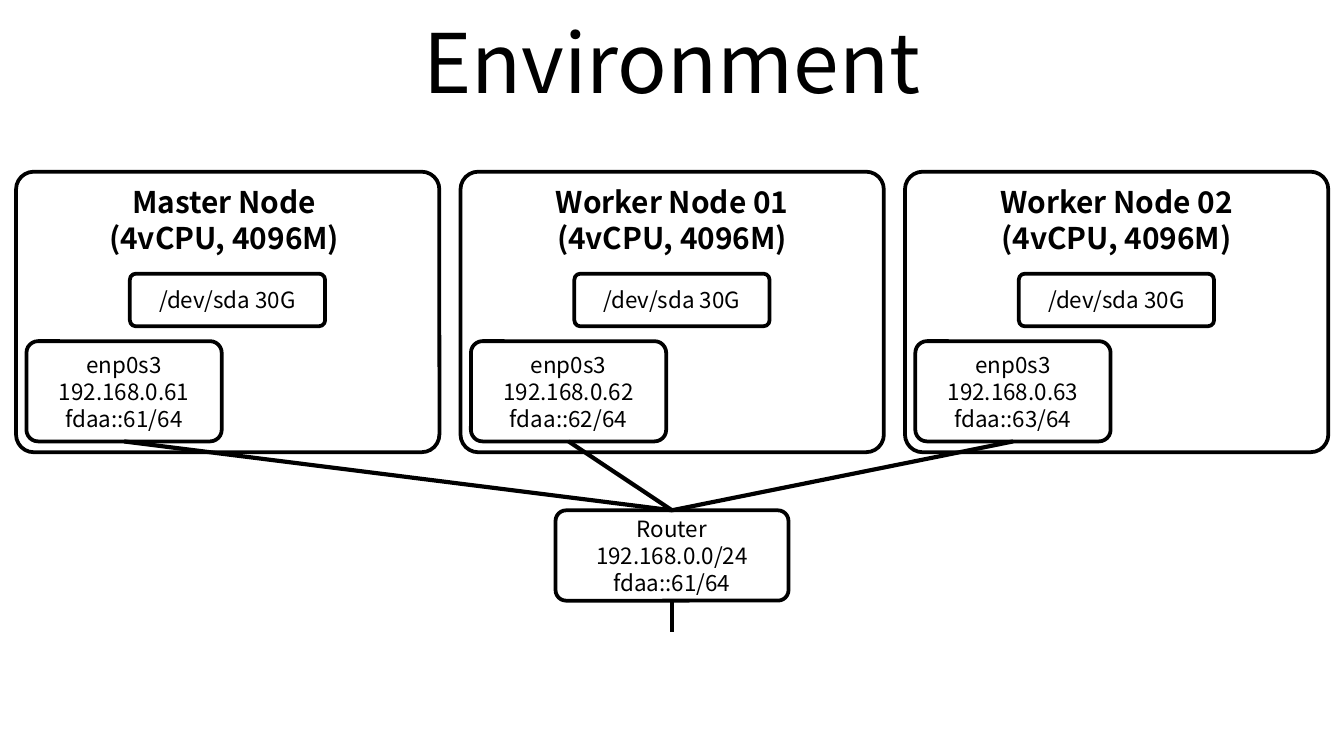
from dataclasses import dataclass

from lxml.etree import SubElement
from pptx import Presentation
from pptx.dml.color import RGBColor
from pptx.enum.shapes import MSO_CONNECTOR as Connector, MSO_SHAPE as Shape
from pptx.enum.text import MSO_ANCHOR as Anchor, PP_ALIGN as Align
from pptx.oxml.ns import qn
from pptx.slide import Slide
from pptx.util import Pt

COLORS = {"ink": "000000"}
NODES = [("Master Node ", "(4vCPU, 4096M) ", 61),
         ("Worker Node 01", "(4vCPU, 4096M)", 62),
         ("Worker Node 02", "(4vCPU, 4096M)", 63)]
NODE_LEFT, NODE_TOP, NODE_STEP = 8.6, 92, 238.1
NIC_WIDTH, NIC_BOTTOM = 104.6, 236.5
ROUTER_X, ROUTER_TOP, ROUTER_BOTTOM = 360, 273.4, 321.8


def write(frame, lines, size=12, bold=False, anchor=Anchor.MIDDLE,
          font="Noto Sans CJK KR", color="ink"):
    """Fill a text frame with centred lines."""
    frame.word_wrap = True
    frame.vertical_anchor = anchor
    for index, line in enumerate(lines):
        para = frame.add_paragraph() if index else frame.paragraphs[0]
        para.alignment = Align.CENTER
        span = para.add_run()
        span.text = line
        span.font.name = font
        span.font.size = Pt(size)
        span.font.bold = bold
        span.font.color.rgb = RGBColor.from_string(COLORS[color])


@dataclass
class Diagram:
    """Draw styled elements on one page."""

    page: Slide
    outline: float = 2
    cable_width: float = 2.25

    def stroke(self, line, width):
        """Apply the ink colour and a width to a line."""
        line.color.rgb = RGBColor.from_string(COLORS["ink"])
        line.width = Pt(width)

    def title(self, text, left, top, width, height):
        """Add the page title."""
        box = self.page.shapes.add_textbox(Pt(left), Pt(top), Pt(width), Pt(height))
        write(box.text_frame, [text], size=44)

    def box(self, lines, left, top, width, height, rounding=0.116, **style):
        """Add an outlined rounded box with text."""
        box = self.page.shapes.add_shape(
            Shape.ROUNDED_RECTANGLE, Pt(left), Pt(top), Pt(width), Pt(height))
        box.adjustments[0] = rounding
        box.shadow.inherit = False
        box.fill.background()
        self.stroke(box.line, self.outline)
        write(box.text_frame, lines, **style)

    def cable(self, x1, y1, x2, y2):
        """Add a straight cable."""
        cable = self.page.shapes.add_connector(
            Connector.STRAIGHT, Pt(x1), Pt(y1), Pt(x2), Pt(y2))
        self.stroke(cable.line, self.cable_width)
        SubElement(cable._element.spPr, qn("a:effectLst"))

    def node(self, left, name, capacity, host):
        """Add a node with its disk, network card and cable."""
        self.box([name, capacity], left, NODE_TOP, 226.8, 150.3,
                 rounding=0.063, size=16, bold=True, anchor=Anchor.TOP)
        nic_left = left + 5.6
        self.box(["enp0s3", f"192.168.0.{host}", f"fdaa::{host}/64"],
                 nic_left, 182.8, NIC_WIDTH, NIC_BOTTOM - 182.8, anchor=Anchor.TOP)
        self.box(["/dev/sda 30G"], left + 61, 146.6, 104.6, 28.2)
        self.cable(nic_left + NIC_WIDTH / 2, NIC_BOTTOM, ROUTER_X, ROUTER_TOP)

    def router(self, width):
        """Add the router and its uplink."""
        self.box(["Router", "192.168.0.0/24", "fdaa::61/64"],
                 ROUTER_X - width / 2, ROUTER_TOP, width, ROUTER_BOTTOM - ROUTER_TOP)
        self.cable(ROUTER_X, ROUTER_BOTTOM, ROUTER_X, 338.4)


def main():
    """Build and save the deck."""
    deck = Presentation()
    deck.slide_width, deck.slide_height = Pt(720), Pt(405)
    diagram = Diagram(deck.slides.add_slide(deck.slide_layouts[6]))
    diagram.title("Environment", 36, -1.4, 648, 67.7)
    for index, node in enumerate(NODES):
        diagram.node(NODE_LEFT + index * NODE_STEP, *node)
    diagram.router(124.8)
    deck.save("out.pptx")


if __name__ == "__main__":
    main()
